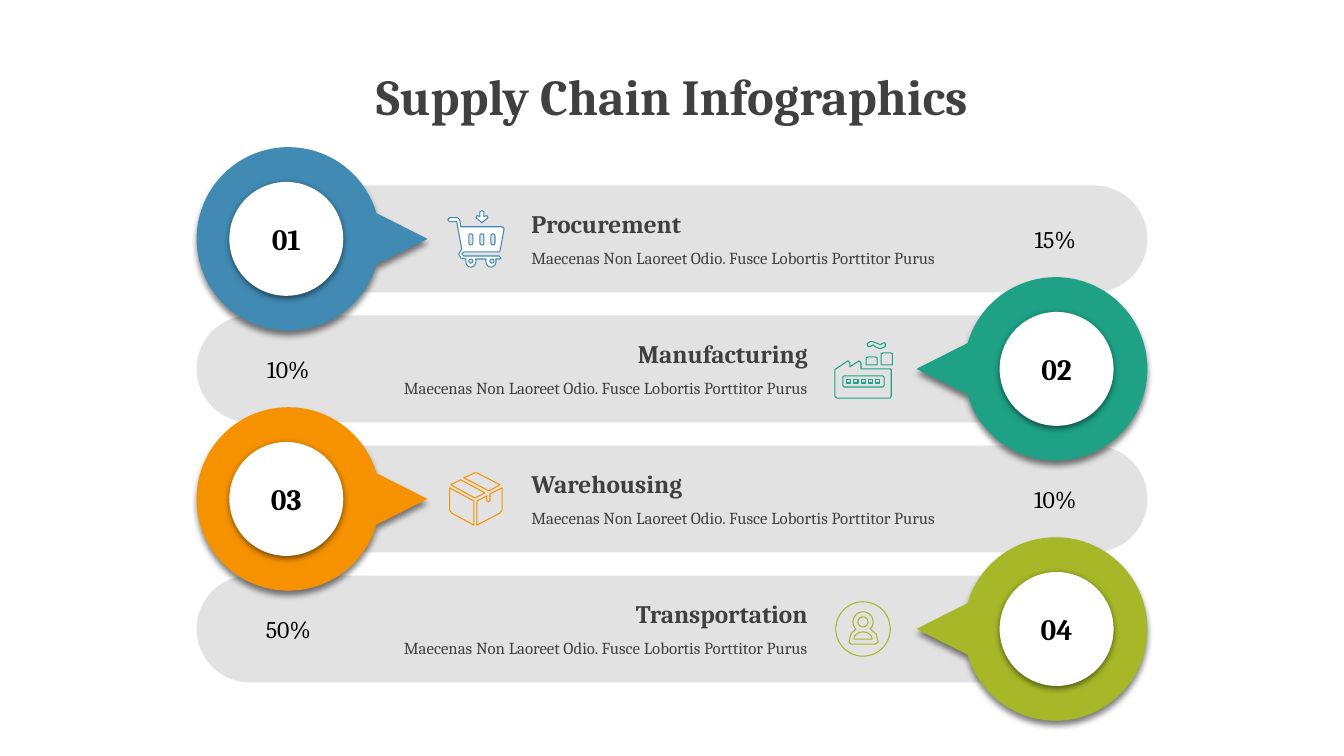
from dataclasses import dataclass
from math import cos, radians, sin

from lxml import etree
from pptx import Presentation
from pptx import util as u
from pptx.dml.color import RGBColor
from pptx.enum import shapes, text
from pptx.oxml.ns import qn

Contour = list[tuple[float, float]]
Outline = list[Contour]


@dataclass(frozen=True)
class Theme:
    font: str = "Cambria"
    heading: str = "404040"
    ink: str = "000000"
    paper: str = "FFFFFF"
    bar: str = "BFBFBF"
    bar_opacity: int = 45
    title_size: int = 36
    number_size: int = 21
    name_size: int = 18
    share_size: int = 17
    detail_size: int = 12
    icon_line: float = 0.75


THEME = Theme()
DETAIL = "Maecenas Non Laoreet Odio. Fusce Lobortis Porttitor Purus"
FIRST_CENTRE, PITCH = 2.37, 1.29
BAR_HEIGHT, PIN_RADIUS, DISC_SIZE = 1.06, 0.91, 1.13


@dataclass(frozen=True)
class Side:
    """Horizontal layout of a stage; direction is where its pin points."""
    direction: int
    bar: tuple[float, float]
    pin_centre: float
    disc_centre: float
    share: tuple[float, float]
    caption: tuple[float, float]
    align: text.PP_ALIGN


LEFT = Side(1, (2.27, 9.11), 2.86, 2.84, (9.54, 1.85), (5.27, 4.66), text.PP_ALIGN.LEFT)
RIGHT = Side(-1, (1.95, 9.11), 10.47, 10.48, (2.03, 1.66), (3.12, 4.89), text.PP_ALIGN.RIGHT)


@dataclass(frozen=True)
class Stage:
    name: str
    share: str
    colour: str
    side: Side
    icon: list[Outline]
    icon_fill: str | None = None


def arc(x: float, y: float, rx: float, ry: float, start: float = 0, stop: float = 360,
        steps: int = 32) -> Contour:
    """Points on an ellipse; angles in degrees, clockwise from the right."""
    angles = [radians(start + (stop - start) * i / steps) for i in range(steps + 1)]
    return [(x + rx * cos(angle), y + ry * sin(angle)) for angle in angles]


def rounded(x: float, y: float, width: float, height: float, radius: float) -> Contour:
    right, bottom = x + width - radius, y + height - radius
    corners = [(right, bottom), (x + radius, bottom), (x + radius, y + radius), (right, y + radius)]
    return [point for i, (cx, cy) in enumerate(corners)
            for point in arc(cx, cy, radius, radius, 90 * i, 90 * i + 90, 6)]


def cart() -> list[Outline]:
    arrow = [(4.78, 2.09), (4.76, 2.1), (4.76, 2.15), (4.74, 2.14), (4.73, 2.14), (4.72, 2.16),
             (4.77, 2.2), (4.78, 2.21), (4.79, 2.2), (4.84, 2.16), (4.83, 2.14), (4.82, 2.14),
             (4.8, 2.15), (4.8, 2.1)]
    body = [(4.46, 2.16), (4.44, 2.18), (4.46, 2.2), (4.53, 2.2), (4.58, 2.47), (4.55, 2.52),
            (4.57, 2.56), *arc(4.67, 2.59, 0.05, 0.06, 200, -20),
            *arc(4.87, 2.59, 0.05, 0.06, 200, -20), (4.95, 2.57), (4.97, 2.56), (4.95, 2.54),
            (4.6, 2.54), (4.58, 2.52), (4.6, 2.5), (4.95, 2.5), (4.96, 2.49), (5, 2.27),
            (4.98, 2.25), (4.57, 2.25), (4.56, 2.18), (4.54, 2.16)]
    slots = [rounded(4.65 + 0.11 * i, 2.32, 0.04, 0.11, 0.02) for i in range(3)]
    hubs = [arc(x, 2.59, 0.02, 0.02) for x in (4.67, 4.88)]
    return [[arrow], [body, *slots, *hubs]]


def factory() -> list[Outline]:
    walls = [(8.41, 3.58), (8.29, 3.66), (8.28, 3.67), (8.28, 3.93), (8.3, 3.95), (8.83, 3.95),
             (8.84, 3.93), (8.84, 3.67), (8.83, 3.66), (8.54, 3.66), (8.54, 3.6), (8.52, 3.58),
             (8.43, 3.64), (8.43, 3.6)]
    smoke = [(8.66, 3.39), (8.63, 3.39), (8.6, 3.41), (8.61, 3.44), (8.63, 3.44), (8.66, 3.42),
             (8.68, 3.44), (8.73, 3.46), (8.78, 3.44), (8.78, 3.41), (8.77, 3.4), (8.73, 3.42),
             (8.71, 3.41), (8.68, 3.4)]
    tall = [(8.76, 3.5), (8.74, 3.51), (8.74, 3.62), (8.85, 3.62), (8.85, 3.51), (8.83, 3.5)]
    short = [(8.61, 3.54), (8.59, 3.55), (8.59, 3.62), (8.7, 3.62), (8.7, 3.55), (8.68, 3.54)]
    panes = [[[(x, 3.77), (x, 3.8), (x + 0.04, 3.8), (x + 0.04, 3.77)]]
             for x in (8.4 + 0.07 * i for i in range(5))]
    return [*panes, [walls, rounded(8.36, 3.73, 0.41, 0.11, 0.02)], [smoke], [tall], [short]]


def parcel() -> list[Outline]:
    lid_left = [(4.57, 4.76), (4.47, 4.81), (4.71, 4.94), (4.81, 4.89)]
    lid_right = [(4.71, 4.69), (4.6, 4.74), (4.85, 4.87), (4.96, 4.81), (4.73, 4.69)]
    front = [(4.46, 4.84), (4.46, 5.06), (4.48, 5.09), (4.7, 5.21), (4.7, 4.97)]
    side = [(4.98, 4.84), (4.86, 4.9), (4.86, 4.97), (4.84, 4.98), (4.83, 4.97), (4.83, 4.92),
            (4.73, 4.97), (4.73, 5.21), (4.96, 5.09), (4.98, 5.06)]
    return [[lid_left], [side], [lid_right], [front]]


def driver() -> list[Outline]:
    figure = [*arc(8.56, 6.17, 0.1, 0.1, 135, 405), (8.69, 6.29), (8.71, 6.37), (8.68, 6.39),
              (8.44, 6.39), (8.42, 6.37), (8.44, 6.29)]
    return [[arc(8.56, 6.34, 0.09, 0.07, 180, 360)], [arc(8.56, 6.17, 0.05, 0.05)],
            [figure, arc(8.56, 6.24, 0.27, 0.27, steps=48)]]


STAGES = [
    Stage("Procurement", "15%", "418AB3", LEFT, cart(), THEME.paper),
    Stage("Manufacturing", "10%", "1EA185", RIGHT, factory()),
    Stage("Warehousing", "10%", "F69200", LEFT, parcel()),
    Stage("Transportation", "50%", "A6B727", RIGHT, driver()),
]


def paint(shape, fill: str | None, line: str | None = None) -> None:
    shape.shadow.inherit = False
    if fill:
        shape.fill.solid()
        shape.fill.fore_color.rgb = RGBColor.from_string(fill)
    else:
        shape.fill.background()
    if line:
        shape.line.color.rgb = RGBColor.from_string(line)
        shape.line.width = u.Pt(THEME.icon_line)
    else:
        shape.line.fill.background()


def set_opacity(colour, percent: int) -> None:
    etree.SubElement(colour, qn("a:alpha"), val=str(percent * 1000))


def drop_shadow(shape, distance: float) -> None:
    effects = shape._element.spPr.find(qn("a:effectLst"))
    shadow = etree.SubElement(effects, qn("a:outerShdw"), blurRad=str(u.Pt(4.5)),
                              dist=str(u.Pt(distance)), dir="5400000", rotWithShape="0")
    set_opacity(etree.SubElement(shadow, qn("a:srgbClr"), val=THEME.ink), 50)


def add_outline(page, outline: Outline):
    contours = [[(u.Inches(x), u.Inches(y)) for x, y in contour] for contour in outline]
    builder = page.shapes.build_freeform(*contours[0][0])
    for i, contour in enumerate(contours):
        if i:
            builder.move_to(*contour[0])
        builder.add_line_segments(contour[1:], close=True)
    return builder.convert_to_shape()


def write(para, words: str, *, size: int, colour: str = THEME.ink, bold: bool = False,
          align: text.PP_ALIGN = text.PP_ALIGN.CENTER, before: int = 0) -> None:
    para.alignment = align
    if before:
        para.space_before = u.Pt(before)
    span = para.add_run()
    span.text = words
    span.font.name, span.font.size, span.font.bold = THEME.font, u.Pt(size), bold
    span.font.color.rgb = RGBColor.from_string(colour)


def set_frame(box, inset: float, anchor: text.MSO_ANCHOR):
    frame = box.text_frame
    frame.word_wrap = True
    frame.vertical_anchor = anchor
    frame.margin_left = frame.margin_right = u.Inches(inset)
    frame.margin_top = frame.margin_bottom = u.Inches(inset)
    return frame


def add_text_box(page, left: float, top: float, width: float, height: float, inset: float,
                 anchor: text.MSO_ANCHOR = text.MSO_ANCHOR.TOP):
    box = page.shapes.add_textbox(*map(u.Inches, (left, top, width, height)))
    return set_frame(box, inset, anchor)


def add_bar(page, side: Side, centre: float) -> None:
    left, width = side.bar
    bar = page.shapes.add_shape(shapes.MSO_SHAPE.ROUNDED_RECTANGLE, *map(
        u.Inches, (left, centre - BAR_HEIGHT / 2, width, BAR_HEIGHT)))
    bar.adjustments[0] = 0.5
    paint(bar, THEME.bar)
    set_opacity(bar._element.spPr.find(f".//{qn('a:srgbClr')}"), THEME.bar_opacity)


def add_stage(page, stage: Stage, number: int, centre: float) -> None:
    side = stage.side
    ring = arc(side.pin_centre, centre, side.direction * PIN_RADIUS, PIN_RADIUS, 16.3, 343.7, 90)
    pin = add_outline(page, [[(side.pin_centre + side.direction * 1.38, centre), *ring]])
    paint(pin, stage.colour)
    drop_shadow(pin, 3)

    disc = page.shapes.add_shape(shapes.MSO_SHAPE.OVAL, *map(u.Inches, (
        side.disc_centre - DISC_SIZE / 2, centre - DISC_SIZE / 2, DISC_SIZE, DISC_SIZE)))
    paint(disc, THEME.paper)
    drop_shadow(disc, 1.5)
    frame = set_frame(disc, 0.1, text.MSO_ANCHOR.MIDDLE)
    write(frame.paragraphs[0], f"{number:02}", size=THEME.number_size, bold=True)

    left, width = side.share
    frame = add_text_box(page, left, centre - 0.3, width, 0.6, 0.1, text.MSO_ANCHOR.MIDDLE)
    write(frame.paragraphs[0], stage.share, size=THEME.share_size)

    for outline in stage.icon:
        paint(add_outline(page, outline), stage.icon_fill, stage.colour)

    left, width = side.caption
    frame = add_text_box(page, left, centre - 0.3, width, 0.59, 0)
    write(frame.paragraphs[0], stage.name, size=THEME.name_size, colour=THEME.heading,
          bold=True, align=side.align)
    write(frame.add_paragraph(), DETAIL, size=THEME.detail_size, colour=THEME.heading,
          align=side.align, before=6)


def main() -> None:
    deck = Presentation()
    deck.slide_width, deck.slide_height = u.Inches(13.33), u.Inches(7.5)
    page = deck.slides.add_slide(deck.slide_layouts[6])
    title = add_text_box(page, 0, 0.6, 13.33, 0.71, 0.05)
    write(title.paragraphs[0], "Supply Chain Infographics", size=THEME.title_size,
          colour=THEME.heading, bold=True)
    centres = [FIRST_CENTRE + PITCH * i for i in range(len(STAGES))]
    for stage, centre in zip(STAGES, centres):
        add_bar(page, stage.side, centre)
    for number, (stage, centre) in enumerate(zip(STAGES, centres), start=1):
        add_stage(page, stage, number, centre)
    deck.save("out.pptx")


if __name__ == "__main__":
    main()
